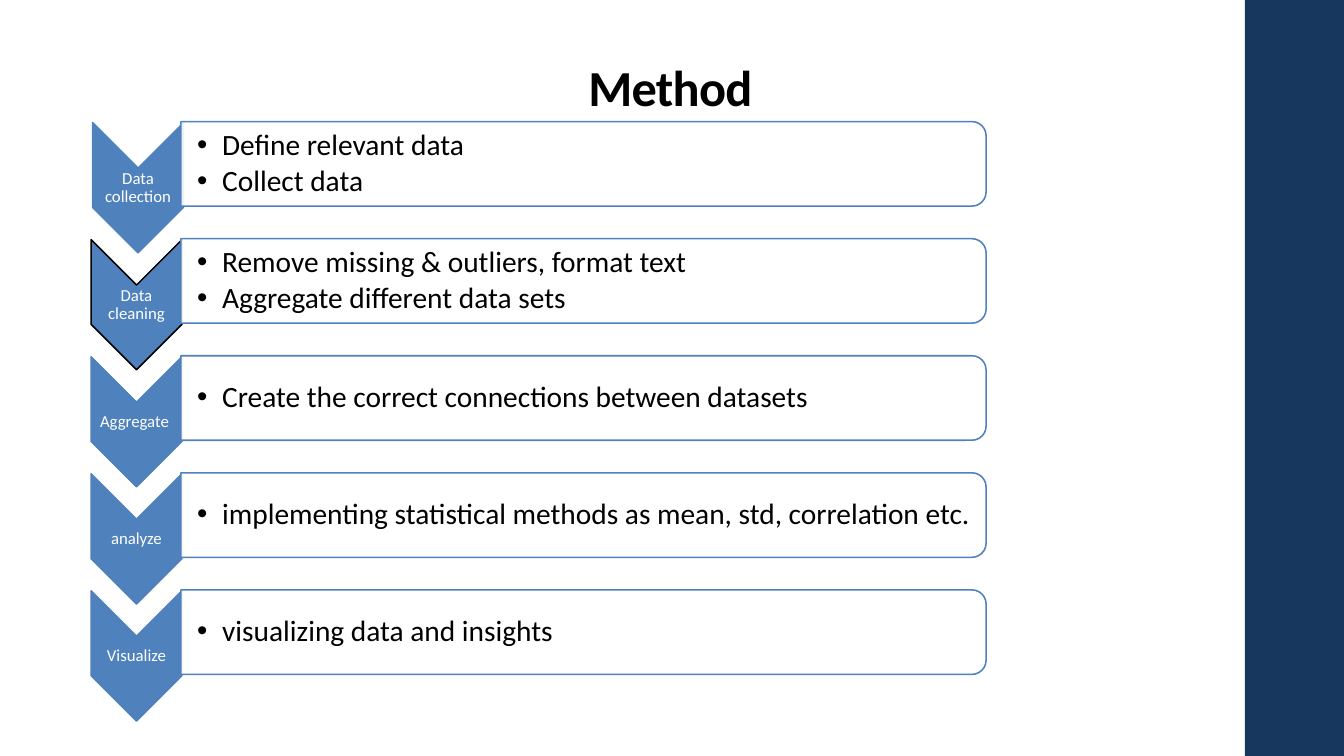
import pptx
import pptx.util
from lxml import etree
from pptx.dml.color import RGBColor
from pptx.enum.shapes import MSO_SHAPE
from pptx.enum.text import MSO_ANCHOR, PP_ALIGN
from pptx.oxml.ns import qn
from pptx.util import Cm, Pt

BLACK = RGBColor(0x00, 0x00, 0x00)
WHITE = RGBColor(0xFF, 0xFF, 0xFF)
BLUE = RGBColor(0x4F, 0x81, 0xBD)
NAVY = RGBColor(0x17, 0x37, 0x5E)
FONT = "Calibri"

TITLE = "Method "
# label, chevron outline, chevron centre (cm), bullets
STEPS = [
    ("Data collection", BLUE, 3.48, ["Define relevant data", "Collect data"]),
    ("Data cleaning", BLACK, 3.44,
     ["Remove missing & outliers, format text", "Aggregate different data sets"]),
    ("Aggregate ", BLUE, 3.44, ["Create the correct connections between datasets"]),
    ("analyze", BLUE, 3.44,
     ["implementing statistical methods as mean, std, correlation etc."]),
    ("Visualize", BLUE, 3.44, ["visualizing data and insights"]),
]

# Lengths in cm
ROW_PITCH = 2.95
CHEVRON_MIDDLE, CHEVRON_LENGTH, CHEVRON_WIDTH = 4.73, 3.28, 2.29
LABEL_HEIGHT = 0.99
PANEL_LEFT, PANEL_MIDDLE, PANEL_WIDTH, PANEL_HEIGHT = 4.56, 4.13, 20.29, 2.13
BULLETS_WIDTH, BULLETS_HEIGHT = 20.19, 1.91
BULLET_INDENT = 0.63


def add_turned_shape(page, kind, center, middle, length, width, fill, line):
    """Add a shape, length by width before a quarter turn, around a centre point."""
    shape = page.shapes.add_shape(kind, Cm(center - length / 2), Cm(middle - width / 2),
                                  Cm(length), Cm(width))
    shape.rotation = 90
    shape.shadow.inherit = False
    shape.fill.solid()
    shape.fill.fore_color.rgb = fill
    shape.line.color.rgb = line
    shape.line.width = Pt(1.1)
    return shape


def set_opacity(shape, percent):
    color = shape.fill._xPr.find(qn("a:solidFill"))[0]
    etree.SubElement(color, qn("a:alpha"), val=str(percent * 1000))


def add_bullet(para):
    properties = para._p.get_or_add_pPr()
    properties.set("marL", str(Cm(BULLET_INDENT)))
    properties.set("indent", str(-Cm(BULLET_INDENT)))
    etree.SubElement(properties, qn("a:buFont"), typeface="Arial")
    etree.SubElement(properties, qn("a:buChar"), char="•")


def add_text(page, left, middle, width, height, lines, size, color, *, bold=False,
             align=PP_ALIGN.CENTER, anchor=MSO_ANCHOR.MIDDLE, margins=(0.03, 0.03),
             after=0, bulleted=False):
    """Add a text box around a middle height; margins are left and the other three."""
    box = page.shapes.add_textbox(Cm(left), Cm(middle - height / 2), Cm(width), Cm(height))
    frame = box.text_frame
    frame.word_wrap = True
    frame.vertical_anchor = anchor
    frame.margin_left = Cm(margins[0])
    frame.margin_right = frame.margin_top = frame.margin_bottom = Cm(margins[1])
    for number, line in enumerate(lines):
        para = frame.add_paragraph() if number else frame.paragraphs[0]
        para.alignment = align
        para.line_spacing = 0.9
        para.space_after = Pt(after)
        if bulleted:
            para.level = 1
            add_bullet(para)
        span = para.add_run()
        span.text = line
        span.font.name = FONT
        span.font.size = Pt(size)
        span.font.bold = bold
        span.font.color.rgb = color
    return box


def add_step(page, row, label, outline, center, bullets):
    shift = row * ROW_PITCH
    add_turned_shape(page, MSO_SHAPE.CHEVRON, center, CHEVRON_MIDDLE + shift,
                     CHEVRON_LENGTH, CHEVRON_WIDTH, BLUE, outline)
    add_text(page, center - CHEVRON_WIDTH / 2, CHEVRON_MIDDLE + shift, CHEVRON_WIDTH,
             LABEL_HEIGHT, [label], 12, WHITE, after=4.2)
    panel = add_turned_shape(page, MSO_SHAPE.ROUND_2_SAME_RECTANGLE,
                             PANEL_LEFT + PANEL_WIDTH / 2, PANEL_MIDDLE + shift,
                             PANEL_HEIGHT, PANEL_WIDTH, WHITE, BLUE)
    set_opacity(panel, 90)
    add_text(page, PANEL_LEFT, PANEL_MIDDLE + shift, BULLETS_WIDTH, BULLETS_HEIGHT,
             bullets, 21, BLACK, align=PP_ALIGN.LEFT, margins=(0.41, 0.03),
             after=3, bulleted=True)


def main():
    deck = pptx.Presentation()
    deck.slide_width, deck.slide_height = Cm(33.87), Cm(19.05)
    page = deck.slides.add_slide(deck.slide_layouts[6])

    band = page.shapes.add_shape(MSO_SHAPE.RECTANGLE, Cm(31.37), Cm(0), Cm(2.5), Cm(19.05))
    band.shadow.inherit = False
    band.fill.solid()
    band.fill.fore_color.rgb = NAVY
    band.line.fill.background()

    title = add_text(page, 3.51, 2.06, 26.92, 2.08, [TITLE], 36, BLACK, bold=True,
                     anchor=MSO_ANCHOR.BOTTOM, margins=(0.25, 0.13))
    title.text_frame.paragraphs[0].runs[0].font._element.set("spc", "-50")

    for row, step in enumerate(STEPS):
        add_step(page, row, *step)
    deck.save("out.pptx")


if __name__ == "__main__":
    main()
